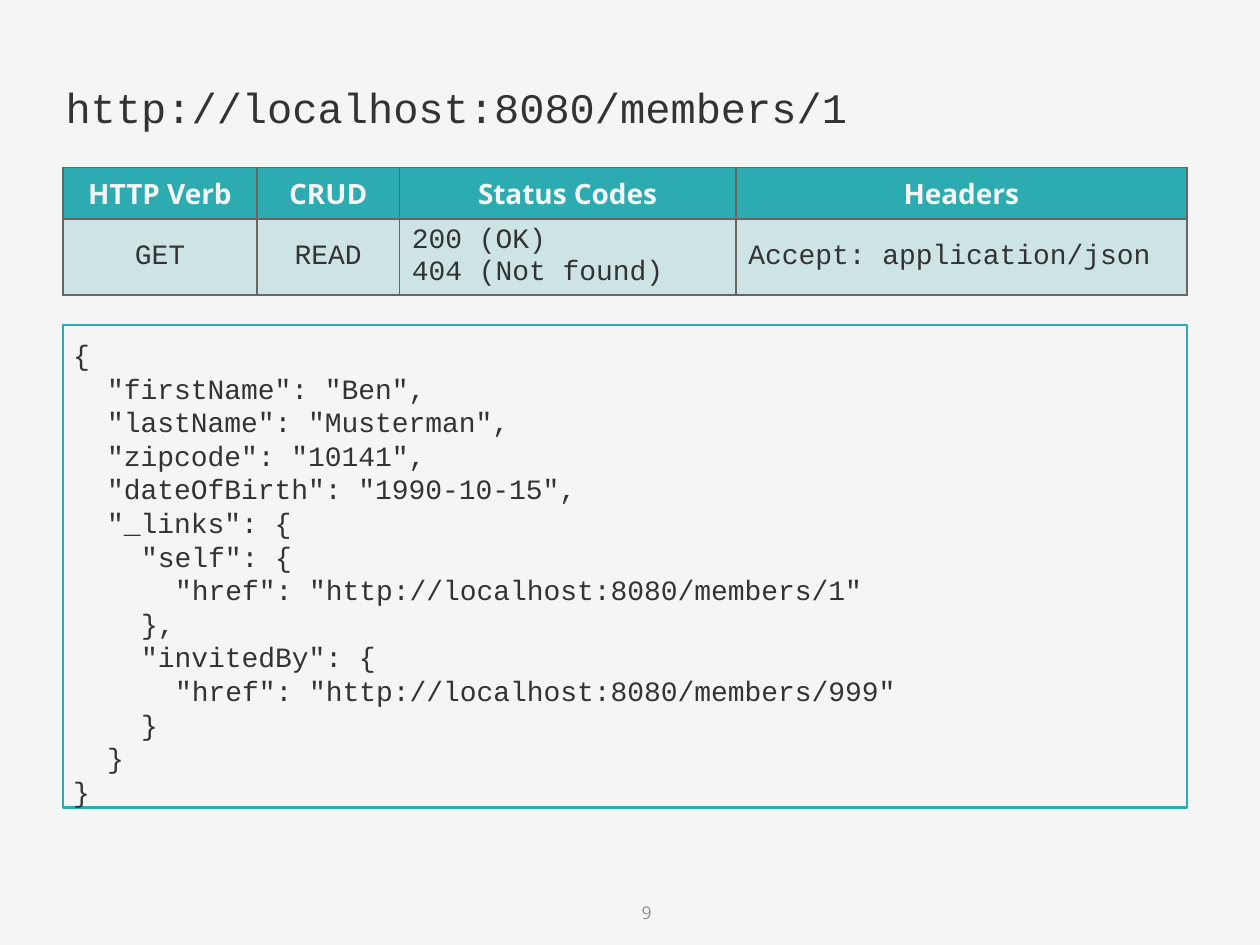
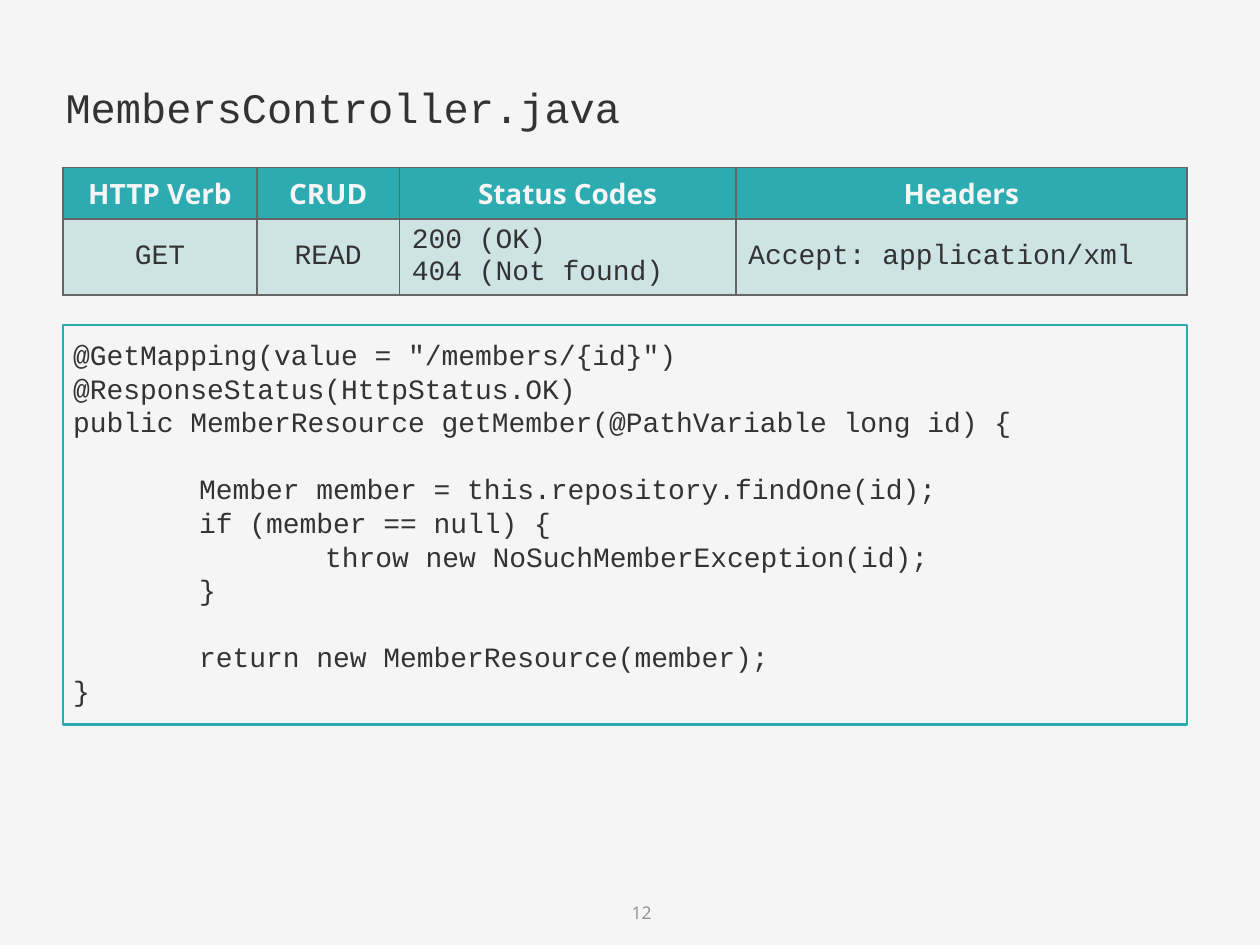
"""Build two slides that show a REST request and the code behind it."""
from dataclasses import dataclass

from lxml.etree import SubElement
from pptx import Presentation
from pptx.dml.color import RGBColor as RGB
from pptx.enum.shapes import MSO_SHAPE as Shape
from pptx.enum.text import MSO_ANCHOR as Anchor, MSO_AUTO_SIZE as AutoSize, PP_ALIGN as Align
from pptx.oxml.ns import qn
from pptx.util import Inches, Pt


@dataclass(frozen=True)
class Theme:
    paper: RGB = RGB.from_string("F5F5F5")
    ink: RGB = RGB.from_string("333333")
    teal: RGB = RGB.from_string("2CACB1")
    pale: RGB = RGB.from_string("CDE3E4")
    muted: RGB = RGB.from_string("909090")
    border: str = "666666"
    sans: str = "Open Sans"
    mono: str = "Courier New"
    title_size: int = 24
    body_size: int = 16
    number_size: int = 10
    code_pitch: float = 19.2


theme = Theme()
CODE = {"name": theme.mono, "size": Pt(theme.body_size), "color": theme.ink, "bold": False}
HEADER = {"name": theme.sans, "size": Pt(theme.body_size), "color": theme.paper, "bold": True}
TITLE = {"name": theme.mono, "size": Pt(theme.title_size), "color": theme.ink, "bold": False}
NUMBER = {"name": theme.sans, "size": Pt(theme.number_size), "color": theme.muted, "bold": False}


def write(para, text, style, align=Align.LEFT):
    """Fill a paragraph with one formatted run."""
    para.alignment = align
    span = para.add_run()
    span.text = text
    for name, value in style.items():
        if name == "color":
            span.font.color.rgb = value
        else:
            setattr(span.font, name, value)


def add_borders(cell):
    """Draw a thin line on each side of a table cell."""
    properties = cell._tc.get_or_add_tcPr()
    for position, side in enumerate(("lnL", "lnR", "lnT", "lnB")):
        line = SubElement(properties, qn(f"a:{side}"), w=str(Pt(1)))
        fill = SubElement(line, qn("a:solidFill"))
        SubElement(fill, qn("a:srgbClr"), val=theme.border)
        properties.insert(position, line)


MEMBER_JSON = """{
  "firstName": "Ben",
  "lastName": "Musterman",
  "zipcode": "10141",
  "dateOfBirth": "1990-10-15",
  "_links": {
    "self": {
      "href": "http://localhost:8080/members/1"
    },
    "invitedBy": {
      "href": "http://localhost:8080/members/999"
    }
  }
}"""

CONTROLLER_JAVA = """@GetMapping(value = "/members/{id}")
@ResponseStatus(HttpStatus.OK)
public MemberResource getMember(@PathVariable long id) {

  Member member = this.repository.findOne(id);
  if (member == null) {
    throw new NoSuchMemberException(id);
  }

  return new MemberResource(member);
}"""

PAGES = [
    {"number": "9", "title": "http://localhost:8080/members/1", "accept": "json",
     "code": MEMBER_JSON, "code_height": 3.83, "indent": 0.27},
    {"number": "12", "title": "MembersController.java", "accept": "xml",
     "code": CONTROLLER_JAVA, "code_height": 3.17, "indent": 1},
]
HEADINGS = ["HTTP Verb", "CRUD", "Status Codes", "Headers"]
COLUMN_WIDTHS = [1.54, 1.13, 2.67, 3.58]
ROW_HEIGHTS = [0.41, 0.6]
LEFT, WIDTH = Inches(0.5), Inches(8.92)

deck = Presentation()
deck.slide_width, deck.slide_height = Inches(10), Inches(7.5)
background = deck.slide_master.background.fill
background.solid()
background.fore_color.rgb = theme.paper

for content in PAGES:
    page = deck.slides.add_slide(deck.slide_layouts[5])

    number = page.shapes.add_textbox(Inches(4.73), Inches(7.08), Inches(0.54), Inches(0.32))
    number.text_frame.word_wrap = True
    number.text_frame.vertical_anchor = Anchor.MIDDLE
    write(number.text_frame.paragraphs[0], content["number"], NUMBER, Align.RIGHT)

    title = page.shapes.title
    title.left, title.top = Inches(0.42), Inches(0.61)
    title.width, title.height = Inches(9.17), Inches(0.42)
    frame = title.text_frame
    frame.auto_size = AutoSize.NONE
    frame.vertical_anchor = Anchor.TOP
    frame.margin_top, frame.margin_bottom = Inches(0.04), 0
    write(frame.paragraphs[0], content["title"], TITLE)

    table = page.shapes.add_table(2, 4, LEFT, Inches(1.33), WIDTH, Inches(sum(ROW_HEIGHTS))).table
    table.first_row = table.horz_banding = False
    for column, width in zip(table.columns, COLUMN_WIDTHS):
        column.width = Inches(width)
    for row, height in zip(table.rows, ROW_HEIGHTS):
        row.height = Inches(height)
    request = ["GET", "READ", "200 (OK)\n404 (Not found)", f"Accept: application/{content['accept']}"]
    rows = [(HEADINGS, HEADER, theme.teal, 4), (request, CODE, theme.pale, 2)]
    for row_index, (texts, style, fill, centred) in enumerate(rows):
        for column_index, text in enumerate(texts):
            cell = table.cell(row_index, column_index)
            cell.vertical_anchor = Anchor.MIDDLE
            cell.margin_top = cell.margin_bottom = Inches(0.03)
            cell.fill.solid()
            cell.fill.fore_color.rgb = fill
            add_borders(cell)
            align = Align.CENTER if column_index < centred else Align.LEFT
            for index, line in enumerate(text.split("\n")):
                para = cell.text_frame.add_paragraph() if index else cell.text_frame.paragraphs[0]
                write(para, line, style, align)

    box = page.shapes.add_shape(
        Shape.RECTANGLE, LEFT, Inches(2.58), WIDTH, Inches(content["code_height"]))
    box.shadow.inherit = False
    box.fill.solid()
    box.fill.fore_color.rgb = theme.paper
    box.line.color.rgb = theme.teal
    box.line.width = Pt(1.5)
    frame = box.text_frame
    frame.word_wrap = True
    frame.vertical_anchor = Anchor.TOP
    frame.margin_left, frame.margin_top = Inches(0.08), Inches(0.1)
    frame.margin_right, frame.margin_bottom = Inches(0.04), 0
    para, gap = frame.paragraphs[0], 0
    for index, line in enumerate(content["code"].split("\n")):
        if not line:
            gap += theme.code_pitch
            continue
        if index:
            para = frame.add_paragraph()
        text = line.lstrip()
        depth = (len(line) - len(text)) // 2
        write(para, text, CODE)
        para.space_before = Pt(gap)
        para._p.get_or_add_pPr().set("marL", str(Inches(depth * content["indent"])))
        gap = 0

deck.save("out.pptx")
